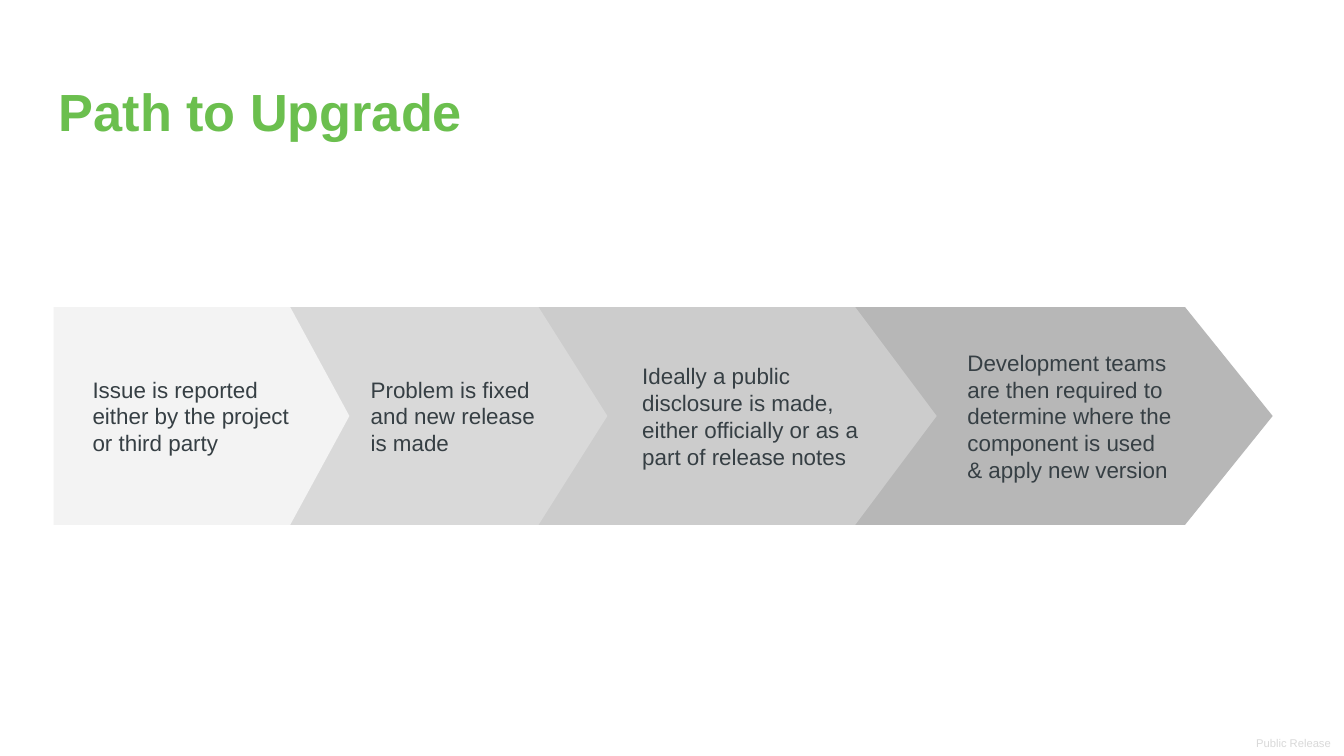
from dataclasses import dataclass

from pptx import Presentation
from pptx.dml.color import RGBColor
from pptx.enum.shapes import MSO_SHAPE
from pptx.enum.text import MSO_ANCHOR, PP_ALIGN
from pptx.util import Inches, Pt

ARROW = MSO_SHAPE.FLOWCHART_OFFPAGE_CONNECTOR
TOP, MIDDLE, BOTTOM = MSO_ANCHOR.TOP, MSO_ANCHOR.MIDDLE, MSO_ANCHOR.BOTTOM
LEFT, RIGHT = PP_ALIGN.LEFT, PP_ALIGN.RIGHT


@dataclass(frozen=True)
class Theme:
    font: str = "Arial"
    title_color: str = "6BBF4E"
    step_color: str = "363F44"
    footer_color: str = "D9D9D9"
    title_size: int = 28
    step_size: int = 12
    footer_size: int = 6


THEME = Theme()
SLIDE_WIDTH = Inches(10)
SLIDE_HEIGHT = SLIDE_WIDTH * 9 // 16
ARROW_HEIGHT = 1.62
STEP_MIDDLE = 3.095
STEP_TEXT_HEIGHT = 1.05

# Arrow left, arrow length, fill, text left, text width, text
STEPS = [
    (0.4, 2.2, "F3F3F3", 0.59, 1.85,
     "Issue is reported either by the project or third party"),
    (1.96, 2.56, "D9D9D9", 2.66, 1.56,
     "Problem is fixed and new release is made"),
    (3.94, 3.03, "CCCCCC", 4.68, 2.08,
     "Ideally a public disclosure is made, either officially or as a part of release notes"),
    (6.21, 3.26, "B7B7B7", 7.1, 2.2,
     "Development teams \vare then required to determine where the component is used "
     "\v& apply new version"),
]


def add_text(slide, box, text, size, color, anchor=TOP, align=LEFT, bold=False, after=0):
    frame = slide.shapes.add_textbox(*map(Inches, box)).text_frame
    frame.word_wrap = True
    frame.vertical_anchor = anchor
    frame.margin_left = frame.margin_right = Inches(0.1)
    frame.margin_top = frame.margin_bottom = Inches(0.1)
    paragraph = frame.paragraphs[0]
    paragraph.text = text
    paragraph.alignment = align
    paragraph.space_after = Pt(after)
    font = paragraph.font
    font.name = THEME.font
    font.size = Pt(size)
    font.bold = bold
    font.color.rgb = RGBColor.from_string(color)


def add_arrow(slide, left, length, fill):
    """Turn a downward pointer so that it points right from `left`."""
    center = left + length / 2
    arrow = slide.shapes.add_shape(
        ARROW,
        Inches(center - ARROW_HEIGHT / 2), Inches(STEP_MIDDLE - length / 2),
        Inches(ARROW_HEIGHT), Inches(length),
    )
    arrow.rotation = 270
    arrow.shadow.inherit = False
    arrow.fill.solid()
    arrow.fill.fore_color.rgb = RGBColor.from_string(fill)
    arrow.line.fill.background()


def add_steps(slide):
    # Each earlier arrow overlaps the next one, so the last goes down first.
    for left, length, fill, *_ in reversed(STEPS):
        add_arrow(slide, left, length, fill)
    text_top = STEP_MIDDLE - STEP_TEXT_HEIGHT / 2
    for *_, left, width, text in STEPS:
        add_text(slide, (left, text_top, width, STEP_TEXT_HEIGHT), text,
                 THEME.step_size, THEME.step_color, anchor=MIDDLE, after=10)


def main():
    deck = Presentation()
    deck.slide_width, deck.slide_height = SLIDE_WIDTH, SLIDE_HEIGHT
    slide = deck.slides.add_slide(deck.slide_layouts[6])
    add_text(slide, (6.72, 5.34, 3.28, 0.29), "Public Release",
             THEME.footer_size, THEME.footer_color, anchor=BOTTOM, align=RIGHT)
    add_text(slide, (0.34, 0.49, 9.32, 0.63), "Path to Upgrade",
             THEME.title_size, THEME.title_color, bold=True)
    add_steps(slide)
    deck.save("out.pptx")


if __name__ == "__main__":
    main()
